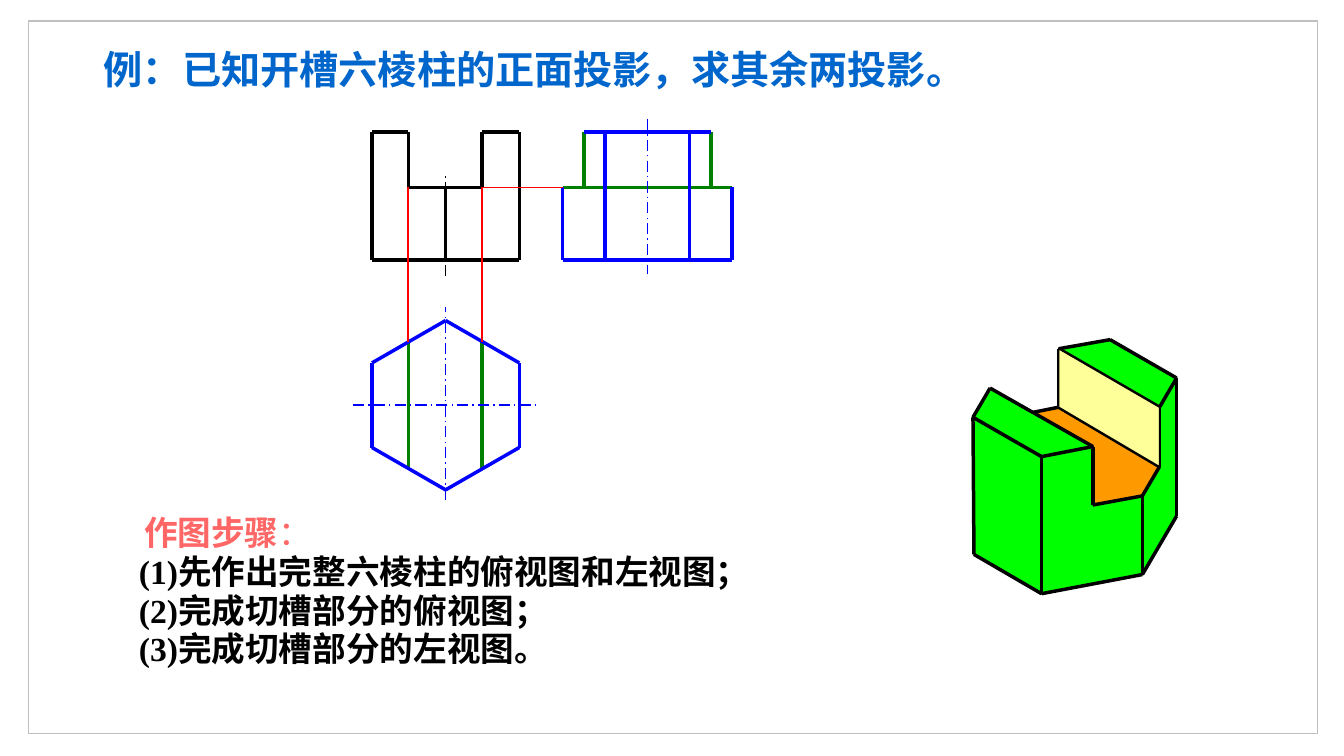
from itertools import pairwise
from lxml.etree import SubElement
from pptx import Presentation
from pptx.dml.color import RGBColor
from pptx.enum.dml import MSO_LINE
from pptx.enum.shapes import MSO_CONNECTOR, MSO_SHAPE
from pptx.enum.text import MSO_ANCHOR, MSO_AUTO_SIZE, PP_ALIGN
from pptx.oxml.ns import qn
from pptx.util import Cm, Pt

# Content
SANS, SERIF = "Noto Sans CJK SC", "Times New Roman"
BLACK, BLUE, GREEN, RED = "000000", "0000FF", "008000", "FF0000"
TITLE = "例：已知开槽六棱柱的正面投影，求其余两投影。"
HEADING = [("作图步骤", True), ("：", False)]
STEPS = [
    "(1)先作出完整六棱柱的俯视图和左视图；",
    "(2)完成切槽部分的俯视图；",
    "(3)完成切槽部分的左视图。",
]

# Shared levels of the three views, in inches
LEFT, SLOT_LEFT, AXIS, SLOT_RIGHT, RIGHT = 3.69, 4.05, 4.42, 4.78, 5.15
TOP, SLOT, BASE = 1.31, 1.86, 2.58
BACK, BACK_CUT, BACK_EDGE, MIDDLE, FRONT_EDGE, FRONT_CUT, FRONT = (
    5.58, 5.79, 6.0, 6.42, 6.84, 7.05, 7.26)
HEX_TOP, HEX_UPPER, HEX_CENTRE, HEX_LOWER, HEX_BOTTOM = 3.18, 3.6, 4.02, 4.44, 4.86
CUT_TOP, CUT_BOTTOM = 3.39, 4.65

# Each stroke: colour, width, points joined in turn
VIEWS = [
    # Front view
    (BLACK, 2.5, [(AXIS, SLOT), (AXIS, BASE)]),
    (BLACK, 2.5, [(LEFT, TOP), (SLOT_LEFT, TOP), (SLOT_LEFT, SLOT), (SLOT_RIGHT, SLOT),
                  (SLOT_RIGHT, TOP), (RIGHT, TOP), (RIGHT, BASE), (LEFT, BASE), (LEFT, TOP)]),
    # Top view
    (GREEN, 2.5, [(SLOT_LEFT, CUT_TOP), (SLOT_LEFT, CUT_BOTTOM)]),
    (GREEN, 2.5, [(SLOT_RIGHT, CUT_TOP), (SLOT_RIGHT, CUT_BOTTOM)]),
    (BLUE, 2.5, [(AXIS, HEX_TOP), (RIGHT, HEX_UPPER), (RIGHT, HEX_LOWER), (AXIS, HEX_BOTTOM),
                 (LEFT, HEX_LOWER), (LEFT, HEX_UPPER), (AXIS, HEX_TOP)]),
    # Left view
    (GREEN, 2.5, [(BACK, SLOT), (FRONT, SLOT)]),
    (GREEN, 2.5, [(BACK_CUT, SLOT), (BACK_CUT, TOP)]),
    (GREEN, 2.5, [(FRONT_CUT, SLOT), (FRONT_CUT, TOP)]),
    (BLUE, 2.5, [(BACK_EDGE, BASE), (BACK_EDGE, TOP)]),
    (BLUE, 2.5, [(FRONT_EDGE, BASE), (FRONT_EDGE, TOP)]),
    (BLUE, 2.5, [(BACK_CUT, TOP), (FRONT_CUT, TOP)]),
    (BLUE, 2.5, [(BACK, SLOT), (BACK, BASE), (FRONT, BASE), (FRONT, SLOT)]),
    # Projection lines
    (RED, 1.25, [(SLOT_LEFT, SLOT), (SLOT_LEFT, CUT_TOP)]),
    (RED, 1.25, [(SLOT_RIGHT, SLOT), (SLOT_RIGHT, CUT_TOP)]),
    (RED, 1.25, [(SLOT_RIGHT, SLOT), (BACK, SLOT)]),
]
CENTRE_LINES = [
    (BLACK, [(AXIS, 2.74), (AXIS, 1.73)]),
    (BLUE, [(AXIS, 4.96), (AXIS, 3.05)]),
    (BLUE, [(3.5, HEX_CENTRE), (5.33, HEX_CENTRE)]),
    (BLUE, [(MIDDLE, 1.18), (MIDDLE, 2.72)]),
]

# Corners of the solid: near top A-D, far top E-H, slot floor I-M, base N-Q
CORNERS = {
    "A": (9.65, 4.14), "B": (9.82, 3.85), "C": (10.84, 4.43), "D": (10.33, 4.53),
    "E": (10.5, 3.46), "F": (11.01, 3.37), "G": (11.67, 3.75), "H": (11.5, 4.04),
    "I": (10.25, 4.09), "J": (10.5, 4.04), "K": (11.5, 4.63), "L": (11.33, 4.92),
    "M": (10.84, 5.01), "N": (9.66, 5.5), "O": (10.33, 5.89), "P": (11.33, 5.7),
    "Q": (11.67, 5.12),
}
FACES = [("IJKLMC", "FF9900"), ("EFGH", "00FF00"), ("ADCB", "00FF00"),
         ("PLKHGQ", "00FF00"), ("NADO", "00FF00"), ("OPLMCD", "00FF00")]
SLOT_WALL = ("JEHK", "FFFF99")
EDGES = ["IJKLM", "MCBADC", "JEFGHE", "HK", "GQPONA", "PL", "DO"]


def inch(value):
    return Cm(value * 2.54)


def colour(code):
    return RGBColor.from_string(code)


def draw_strokes(points, code, width, dash=None):
    for start, end in pairwise(points):
        stroke = page.shapes.add_connector(
            MSO_CONNECTOR.STRAIGHT, *(inch(v) for v in start + end))
        stroke.line.color.rgb = colour(code)
        stroke.line.width = Pt(width)
        if dash:
            stroke.line.dash_style = dash
        SubElement(stroke._element.spPr, qn("a:effectLst"))


def draw_face(corners, code):
    points = [tuple(inch(v) for v in CORNERS[c]) for c in corners]
    builder = page.shapes.build_freeform(*points[0])
    builder.add_line_segments(points[1:], close=True)
    face = builder.convert_to_shape()
    face.shadow.inherit = False
    face.fill.solid()
    face.fill.fore_color.rgb = colour(code)
    face.line.color.rgb = colour(BLACK)
    face.line.width = Pt(1)


def write(box, runs, size, font, code, wrap=True):
    frame = box.text_frame
    frame.auto_size = MSO_AUTO_SIZE.NONE
    frame.word_wrap = wrap
    frame.vertical_anchor = MSO_ANCHOR.MIDDLE
    para = frame.paragraphs[0]
    para.alignment = PP_ALIGN.LEFT
    para.space_before = Pt(0)
    for text, bold in runs:
        span = para.add_run()
        span.text = text
        span.font.size = Pt(size)
        span.font.bold = bold
        span.font.name = font
        span.font.color.rgb = colour(code)
        SubElement(span.font._element, qn("a:ea"), typeface=SANS)
    return para


def add_text(left, top, width, runs, font, code):
    box = page.shapes.add_textbox(inch(left), inch(top), inch(width), inch(0.5))
    write(box, runs, 24, font, code)


deck = Presentation()
deck.slide_width, deck.slide_height = inch(13.33), inch(7.5)
page = deck.slides.add_slide(deck.slide_layouts[5])

# Title
title = page.shapes.title
title.left, title.top, title.width, title.height = (inch(v) for v in (0.93, 0.21, 8.84, 0.76))
write(title, [(TITLE, True)], 28, SANS, "0066CC", wrap=False).line_spacing = 1.4

# Page frame
border = page.shapes.add_shape(
    MSO_SHAPE.RECTANGLE, *(inch(v) for v in (0.28, 0.21, 12.79, 7.07)))
border.shadow.inherit = False
border.fill.background()
border.line.color.rgb = colour("BFBFBF")
border.line.width = Pt(1)

# Three views
for code, width, points in VIEWS:
    draw_strokes(points, code, width)
for code, points in CENTRE_LINES:
    draw_strokes(points, code, 1, MSO_LINE.LONG_DASH_DOT)

# Slotted prism
for corners, code in FACES:
    draw_face(corners, code)
for chain in EDGES:
    draw_strokes([CORNERS[c] for c in chain], BLACK, 2.5)
draw_face(*SLOT_WALL)

# Drawing steps
add_text(1.33, 5.03, 2.29, HEADING, SANS, "FF6666")
for row, step in enumerate(STEPS):
    add_text(1.28, 5.42 + 0.38 * row, 6.39, [(step, True)], SERIF, BLACK)

deck.save("out.pptx")
